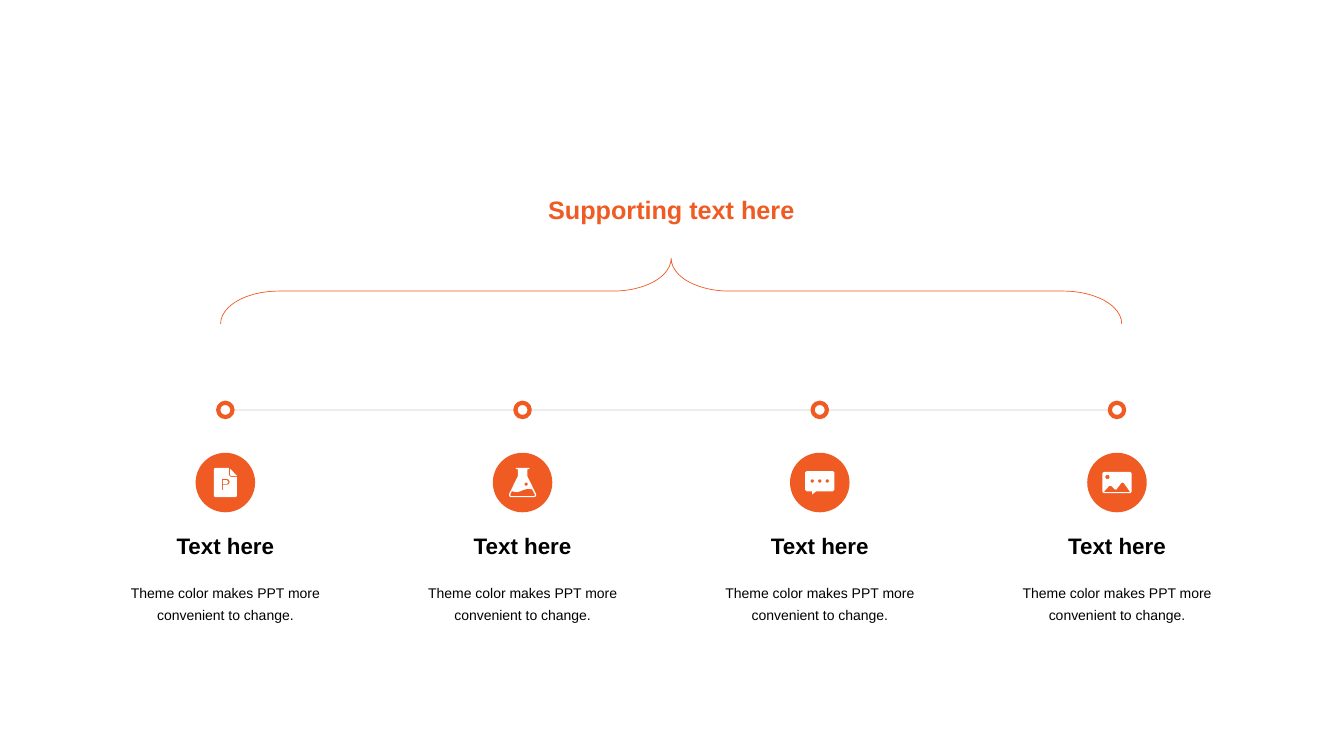
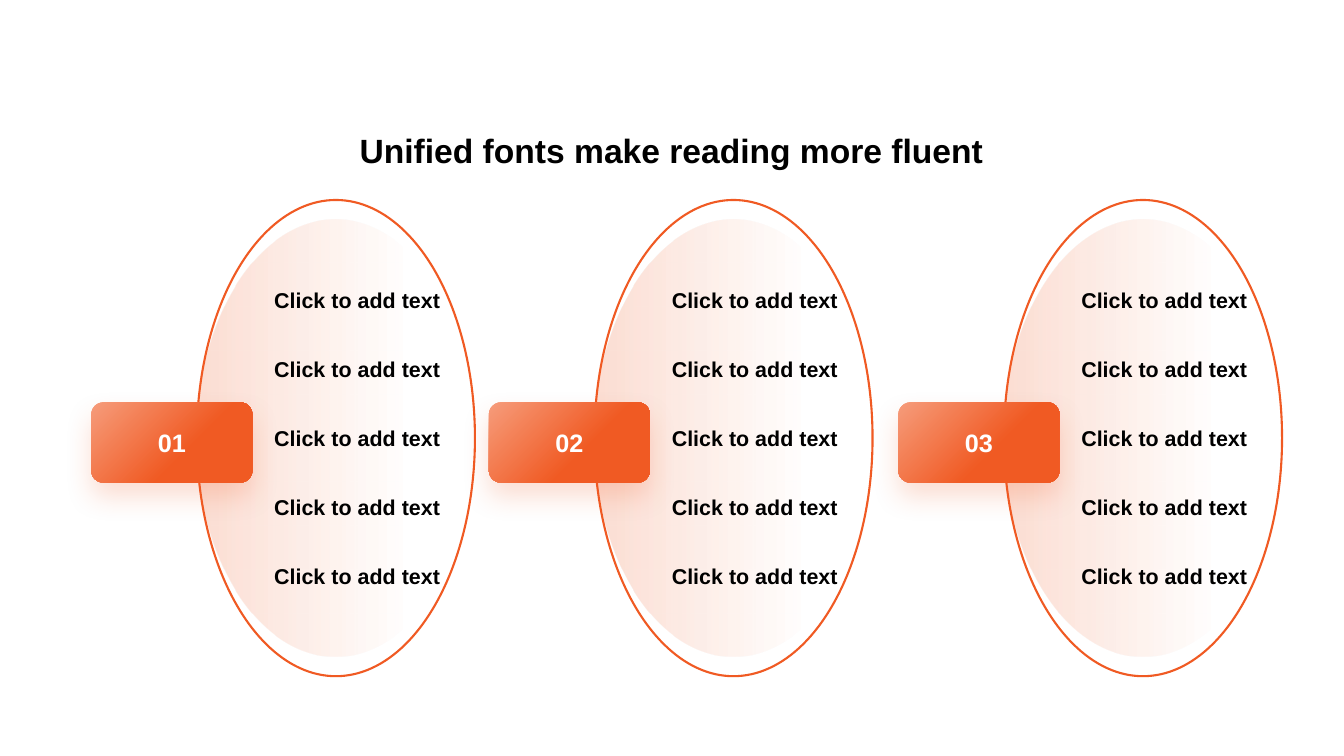
"""Build two orange infographic slides: a timeline and three numbered lists."""
from dataclasses import dataclass
from math import cos, pi, sin
from typing import Any

from lxml import etree
from pptx import Presentation
from pptx.dml.color import RGBColor
from pptx.enum.shapes import MSO_CONNECTOR, MSO_SHAPE
from pptx.enum.text import MSO_ANCHOR, PP_ALIGN
from pptx.oxml.ns import qn
from pptx.util import Cm, Pt

ORANGE = RGBColor(0xF0, 0x5A, 0x23)
PEACH = RGBColor(0xF6, 0x9C, 0x7B)
GRAY = RGBColor(0x80, 0x80, 0x80)
BLACK = RGBColor(0, 0, 0)
WHITE = RGBColor(0xFF, 0xFF, 0xFF)

ELLIPSE, ROUNDED = MSO_SHAPE.OVAL, MSO_SHAPE.ROUNDED_RECTANGLE
BRACE, STRAIGHT = MSO_SHAPE.RIGHT_BRACE, MSO_CONNECTOR.STRAIGHT
TOP, MIDDLE, BOTTOM = MSO_ANCHOR.TOP, MSO_ANCHOR.MIDDLE, MSO_ANCHOR.BOTTOM
LEFT, CENTER = PP_ALIGN.LEFT, PP_ALIGN.CENTER

Points = list[tuple[float, float]]
Box = tuple[float, float, float, float]


@dataclass(frozen=True)
class TextStyle:
    """Format of a one-paragraph text."""
    size: float
    color: RGBColor = BLACK
    bold: bool = True
    align: PP_ALIGN = CENTER
    anchor: MSO_ANCHOR = TOP
    inset: tuple[float, float] = (0.25, 0.13)
    spacing: float = 1.0
    after: float = 0


@dataclass(frozen=True)
class Step:
    """One timeline stop with its icon contours in hundredths of a cm."""
    title: str
    body: str
    icon: list[Points]


@dataclass(frozen=True)
class Panel:
    """One numbered oval, placed by its left edge in cm."""
    number: str
    left: float


CALLOUT = TextStyle(18, ORANGE, anchor=BOTTOM, inset=(0.3, 0.3))
STEP_TITLE = TextStyle(16, anchor=BOTTOM, inset=(0.25, 0.25))
STEP_BODY = TextStyle(10, bold=False, inset=(0.3, 0.3), spacing=1.3)
HEADING = TextStyle(24, after=10)
BADGE = TextStyle(18, WHITE, anchor=MIDDLE)
ITEM = TextStyle(15.3, align=LEFT, anchor=MIDDLE, spacing=0.9)


def dot(x: float, y: float, radius: float) -> Points:
    """Return the outline of a small round hole."""
    return [(x + radius * cos(k * pi / 8), y + radius * sin(k * pi / 8)) for k in range(16)]


DOCUMENT = [
    [(-26, -37), (9, -37), (9, -19), (14, -14), (29, -14), (29, 34), (26, 37),
     (-26, 37), (-29, 34), (-29, -34)],
    [(-9, -9), (4, -9), (9, -7), (11, -1), (9, 4), (4, 6), (-6, 6), (-6, 19), (-9, 19)],
    [(-6, -6), (4, -6), (8, -1), (4, 4), (-6, 4)],
    [(12, -35), (29, -17), (14, -17), (12, -19)],
]
FLASK = [
    [(-17, -37), (17, -37), (17, -34), (12, -34), (12, -16), (34, 29), (34, 34),
     (30, 37), (-30, 37), (-34, 34), (-34, 29), (-12, -16), (-12, -34), (-17, -34)],
    [(1, 19), (-8, 23), (-17, 24), (-27, 22), (-31, 30), (-30, 34), (30, 34),
     (31, 30), (24, 17), (13, 16)],
    dot(9, 4, 4),
]
CHAT = [
    [(-33, -29), (33, -29), (37, -25), (37, 18), (33, 22), (-9, 22), (-19, 30),
     (-19, 22), (-33, 22), (-37, 18), (-37, -25)],
    *[dot(x, -4, 4) for x in (-19, 0, 19)],
]
LANDSCAPE = [
    [(-33, -27), (33, -27), (37, -23), (37, 23), (33, 27), (-33, 27), (-37, 23), (-37, -23)],
    [(-32, 24), (-32, 22), (-20, 9), (-17, 8), (-14, 9), (-6, 17), (-3, 18), (-1, 17),
     (11, 1), (14, 0), (17, 1), (32, 22), (32, 24)],
    dot(-24, -14, 5),
]

STEPS = [Step("Text here", "Theme color makes PPT more convenient to change.", icon)
         for icon in (DOCUMENT, FLASK, CHAT, LANDSCAPE)]
PANELS = [Panel("01", 4.96), Panel("02", 14.98), Panel("03", 25.3)]
ITEMS = ["Click to add text"] * 5
ITEM_FRAME = [(0, 0), (500, 0), (500, 117), (0, 117)]


def set_attrs(target: Any, values: dict[str, Any]) -> None:
    """Set every named attribute on the target."""
    for name, value in values.items():
        setattr(target, name, value)


def set_alpha(color: Any, percent: float) -> None:
    """Give a colour element an opacity."""
    etree.SubElement(color, qn("a:alpha"), val=str(round(percent * 1000)))


def write(s: Any, text: str, style: TextStyle) -> None:
    """Write one styled paragraph into a shape."""
    tf = s.text_frame
    side, edge = map(Cm, style.inset)
    set_attrs(tf, {"word_wrap": True, "vertical_anchor": style.anchor,
                   "margin_left": side, "margin_right": side,
                   "margin_top": edge, "margin_bottom": edge})
    p = tf.paragraphs[0]
    set_attrs(p, {"alignment": style.align, "line_spacing": style.spacing,
                  "space_after": Pt(style.after)})
    r = p.add_run()
    r.text = text
    set_attrs(r.font, {"name": "Arial", "size": Pt(style.size), "bold": style.bold})
    r.font.color.rgb = style.color


def add_text(sp: Any, box: Box, text: str, style: TextStyle) -> None:
    """Add a text box."""
    write(sp.add_textbox(*map(Cm, box)), text, style)


def paint(s: Any, fill: RGBColor | None, line: RGBColor | None, width: float) -> None:
    """Set fill and outline, and drop the shadow."""
    s.shadow.inherit = False
    for target, color in ((s.fill, fill), (s.line.fill, line)):
        if color is None:
            target.background()
        else:
            target.solid()
            target.fore_color.rgb = color
    if line is not None:
        s.line.width = Pt(width)


def add_shape(sp: Any, kind: MSO_SHAPE, box: Box, fill: RGBColor | None = None,
              line: RGBColor | None = None, width: float = 0) -> Any:
    """Add a painted preset shape."""
    s = sp.add_shape(kind, *map(Cm, box))
    paint(s, fill, line, width)
    return s


def add_circle(sp: Any, x: float, y: float, size: float, fill: RGBColor,
               line: RGBColor | None = None, width: float = 0) -> None:
    """Add a circle by its centre."""
    add_shape(sp, ELLIPSE, (x - size / 2, y - size / 2, size, size), fill, line, width)


def add_outline(sp: Any, x: float, y: float, contours: list[Points],
                fill: RGBColor | None = None) -> Any:
    """Add a freeform whose contours are relative to a point."""
    builder = None
    for contour in contours:
        if builder is None:
            builder = sp.build_freeform(*contour[0], scale=Cm(0.01))
        else:
            builder.move_to(*contour[0])
        builder.add_line_segments(contour[1:], close=True)
    s = builder.convert_to_shape(Cm(x), Cm(y))
    paint(s, fill, None, 0)
    return s


def set_gradient(s: Any, angle: float, stops: list[tuple[float, RGBColor, float]]) -> None:
    """Fill with a gradient of (position, colour, opacity) stops."""
    s.fill.gradient()
    s.fill.gradient_angle = angle
    for stop, (position, color, _) in zip(s.fill.gradient_stops, stops):
        stop.position = position
        stop.color.rgb = color
    colors = s._element.spPr.find(qn("a:gradFill")).iter(qn("a:srgbClr"))
    for color, (_, _, percent) in zip(list(colors), stops):
        set_alpha(color, percent)


def add_glow(s: Any) -> None:
    """Add a soft orange shadow below a shape."""
    effects = s._element.spPr.find(qn("a:effectLst"))
    shadow = etree.SubElement(effects, qn("a:outerShdw"), blurRad=str(Pt(20)),
                              dist=str(Pt(10)), dir="5400000", algn="t", rotWithShape="0")
    set_alpha(etree.SubElement(shadow, qn("a:srgbClr"), val=str(ORANGE)), 20)


def add_axis(sp: Any, left: float, right: float, y: float) -> None:
    """Add the pale timeline rule."""
    s = sp.add_connector(STRAIGHT, Cm(left), Cm(y), Cm(right), Cm(y))
    s.line.color.rgb = GRAY
    s.line.width = Pt(0.5)
    spPr = s._element.spPr
    set_alpha(next(spPr.iter(qn("a:srgbClr"))), 40)
    etree.SubElement(spPr, qn("a:effectLst"))


def build_timeline(sp: Any) -> None:
    """Draw the braced four-step timeline."""
    first, pitch, axis_y, icon_y, width = 5.68, 7.49, 10.33, 12.16, 5.46
    add_axis(sp, first, first + pitch * (len(STEPS) - 1), axis_y)
    brace = add_shape(sp, BRACE, (16.09, -4.02, 1.65, 22.71), None, ORANGE, 0.5)
    brace.rotation = 270
    brace.adjustments[0] = 0.89
    add_text(sp, (13.26, 4.6, 7.32, 1.37), "Supporting text here", CALLOUT)
    for i, step in enumerate(STEPS):
        x = first + pitch * i
        add_text(sp, (x - width / 2, 13.15, width, 1.19), step.title, STEP_TITLE)
        add_text(sp, (x - width / 2, 14.3, width, 1.65), step.body, STEP_BODY)
        add_circle(sp, x, icon_y, 1.5, ORANGE)
        add_outline(sp, x, icon_y, step.icon, WHITE)
        add_circle(sp, x, axis_y, 0.36, WHITE, ORANGE, 3)


def add_panel(sp: Any, panel: Panel) -> None:
    """Draw an oval with its number badge and items."""
    oval = add_shape(sp, ELLIPSE, (panel.left, 5.54, 7.01, 11))
    set_gradient(oval, 0, [(0, ORANGE, 20), (0.75, ORANGE, 0)])
    add_shape(sp, ELLIPSE, (panel.left, 5.04, 7.01, 12), None, ORANGE, 1.5)
    badge = add_shape(sp, ROUNDED, (panel.left - 2.66, 10.14, 4.06, 2.02))
    badge.adjustments[0] = 0.15
    set_gradient(badge, 315, [(0, PEACH, 100), (0.6, ORANGE, 100)])
    add_glow(badge)
    write(badge, panel.number, BADGE)
    for row, item in enumerate(ITEMS):
        frame = add_outline(sp, panel.left + 1.7, 7.02 + 1.74 * row, [ITEM_FRAME])
        write(frame, item, ITEM)


def build_panels(sp: Any) -> None:
    """Draw the heading and three numbered panels."""
    add_text(sp, (1.83, 3.15, 30.18, 1.45), "Unified fonts make reading more fluent", HEADING)
    for panel in PANELS:
        add_panel(sp, panel)


def main() -> None:
    """Build and save the presentation."""
    prs = Presentation()
    set_attrs(prs, {"slide_width": Cm(33.87), "slide_height": Cm(19.05)})
    for build in (build_timeline, build_panels):
        build(prs.slides.add_slide(prs.slide_layouts[6]).shapes)
    prs.save("out.pptx")


if __name__ == "__main__":
    main()
